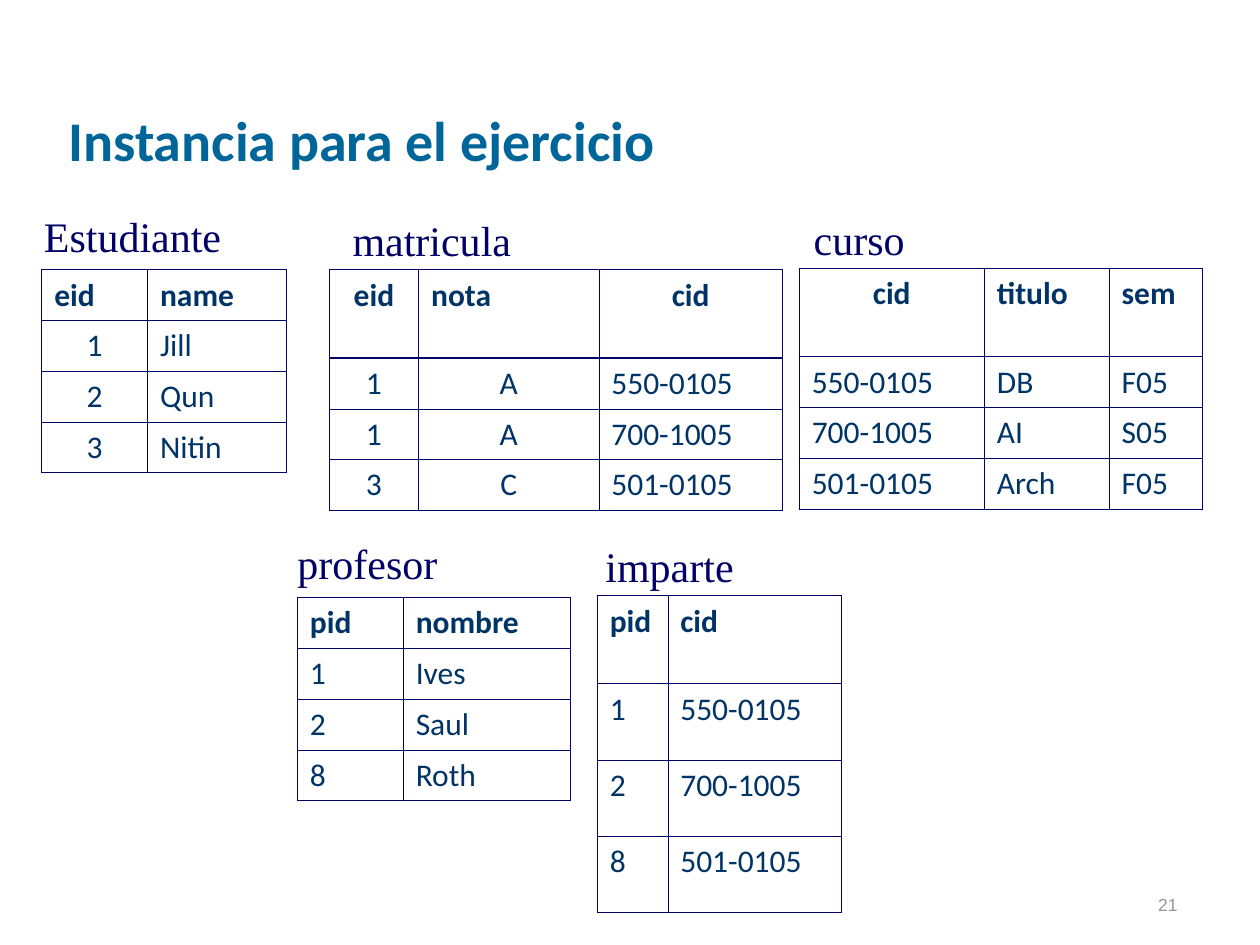
"""Build the slide with the sample relations of the exercise."""
from lxml import etree
from pptx import Presentation
from pptx.dml.color import RGBColor
from pptx.enum.text import MSO_ANCHOR, MSO_AUTO_SIZE, PP_ALIGN
from pptx.oxml.ns import qn
from pptx.util import Pt

BOTTOM, TOP = MSO_ANCHOR.BOTTOM, MSO_ANCHOR.TOP
FIT_SHAPE, FIT_NONE = MSO_AUTO_SIZE.SHAPE_TO_FIT_TEXT, MSO_AUTO_SIZE.NONE
ALIGNMENTS = {"l": PP_ALIGN.LEFT, "c": PP_ALIGN.CENTER, "r": PP_ALIGN.RIGHT}

TITLE_BLUE = RGBColor(0x00, 0x66, 0x99)
CELL_BLUE = RGBColor(0x00, 0x33, 0x66)
NAVY = RGBColor(0x00, 0x00, 0x66)
GRAY = RGBColor(0x96, 0x96, 0x96)

SANS, SERIF, NUMBER_FONT = "Calibri", "Times New Roman", "Arial"
HEADER_LINE, OUTER_LINE, INNER_LINE = 0.75, 0.5, 0.23
ROW, TALL_ROW, TALL_HEADER = 29, 43.5, 50.4

RELATIONS = [
    dict(name="Estudiante", label=(18, 116.5, 118), at=(23.8, 154.2),
         columns=(60.5, 79.2), header_align="ll", body_align="cl",
         rows=(("eid", "name"), ("1", "Jill"), ("2", "Qun"), ("3", "Nitin"))),
    dict(name="profesor", label=(162.9, 303.4, 96), at=(169.9, 341.5),
         columns=(60.5, 95.8), header_align="ll", body_align="ll",
         rows=(("pid", "nombre"), ("1", "Ives"), ("2", "Saul"), ("8", "Roth"))),
    dict(name="matricula", label=(194.4, 118.8, 107), at=(188.2, 154.2),
         columns=(51, 103, 105), header_align="clc", body_align="ccl",
         header_height=TALL_HEADER,
         rows=(("eid", "nota", "cid"), ("1", "A", "550-0105"),
               ("1", "A", "700-1005"), ("3", "C", "501-0105"))),
    dict(name="curso", label=(457.9, 118.3, 68), at=(456.7, 153.5),
         columns=(105.8, 71.3, 53.3), header_align="cll", body_align="lll",
         header_height=TALL_HEADER,
         rows=(("cid", "titulo", "sem"), ("550-0105", "DB", "F05"),
               ("700-1005", "AI", "S05"), ("501-0105", "Arch", "F05"))),
    dict(name="imparte", label=(338.9, 305.3, 89), at=(341.3, 340.4),
         columns=(40.3, 99.4), header_align="ll", body_align="ll",
         header_height=TALL_HEADER, row_height=TALL_ROW,
         rows=(("pid", "cid"), ("1", "550-0105"), ("2", "700-1005"),
               ("8", "501-0105"))),
]


def write_text(frame, text, size=18, font=SANS, color=CELL_BLUE, bold=False,
               align="l", before=None, spacing=None):
    """Put one formatted paragraph into a text frame."""
    para = frame.paragraphs[0]
    para.alignment = ALIGNMENTS[align]
    if before is not None:
        para.space_before = Pt(before)
    if spacing is not None:
        para.line_spacing = spacing
    span = para.add_run()
    span.text = text
    span.font.size = Pt(size)
    span.font.name = font
    span.font.bold = bold
    span.font.color.rgb = color


def draw_borders(cell, widths):
    """Give a cell its left, right, top and bottom lines."""
    properties = cell._tc.get_or_add_tcPr()
    for side, width in zip("LRTB", widths):
        line = etree.SubElement(properties, qn(f"a:ln{side}"), w=str(int(Pt(width))))
        fill = etree.SubElement(line, qn("a:solidFill"))
        etree.SubElement(fill, qn("a:srgbClr"), val=str(NAVY))


class SlideBuilder:
    """Hold the current slide and add its elements in one style."""

    def __init__(self, page):
        self.page = page

    def text_box(self, text, left, top, width, height, anchor=TOP, wrap=True,
                 **style):
        """Add a text box with one paragraph."""
        box = self.page.shapes.add_textbox(Pt(left), Pt(top), Pt(width), Pt(height))
        frame = box.text_frame
        frame.word_wrap = wrap
        frame.auto_size = FIT_NONE if wrap else FIT_SHAPE
        frame.vertical_anchor = anchor
        write_text(frame, text, **style)

    def relation_table(self, rows, at, columns, header_align, body_align,
                       header_height=ROW, row_height=ROW):
        """Add a relation as a table with a bold header row."""
        heights = [header_height] + [row_height] * (len(rows) - 1)
        table = self.page.shapes.add_table(
            len(rows), len(columns), Pt(at[0]), Pt(at[1]),
            Pt(sum(columns)), Pt(sum(heights))).table
        table.first_row = table.horz_banding = False
        for column, width in zip(table.columns, columns):
            column.width = Pt(width)
        for row, height in zip(table.rows, heights):
            row.height = Pt(height)
        last_row, last_column = len(rows) - 1, len(columns) - 1
        for r, values in enumerate(rows):
            header = r == 0
            edge = HEADER_LINE if header else OUTER_LINE
            above = HEADER_LINE if r <= 1 else INNER_LINE
            below = (HEADER_LINE if header else
                     OUTER_LINE if r == last_row else INNER_LINE)
            aligns = header_align if header else body_align
            for c, (value, align) in enumerate(zip(values, aligns)):
                cell = table.cell(r, c)
                write_text(cell.text_frame, value, bold=header, align=align,
                           before=4.5, spacing=0.98)
                draw_borders(cell, (edge if c == 0 else INNER_LINE,
                                    edge if c == last_column else INNER_LINE,
                                    above, below))
                cell.fill.background()

    def relation_label(self, name, left, top, width):
        """Add the name above a relation."""
        self.text_box(name, left, top, width, 36, wrap=False, size=24,
                      font=SERIF, color=NAVY)


def main():
    """Create the deck and save it."""
    deck = Presentation()
    deck.slide_width, deck.slide_height = Pt(720), Pt(540)
    builder = SlideBuilder(deck.slides.add_slide(deck.slide_layouts[6]))
    builder.text_box("21", 530, 490.3, 150, 36, anchor=BOTTOM, size=10,
                     font=NUMBER_FONT, color=GRAY, align="r", before=6.2)
    builder.text_box("Instancia para el ejercicio", 32, 12, 612, 90,
                     anchor=BOTTOM, size=32, color=TITLE_BLUE, bold=True)
    for relation in RELATIONS:
        layout = dict(relation)
        builder.relation_label(layout.pop("name"), *layout.pop("label"))
        builder.relation_table(**layout)
    deck.save("out.pptx")


if __name__ == "__main__":
    main()
